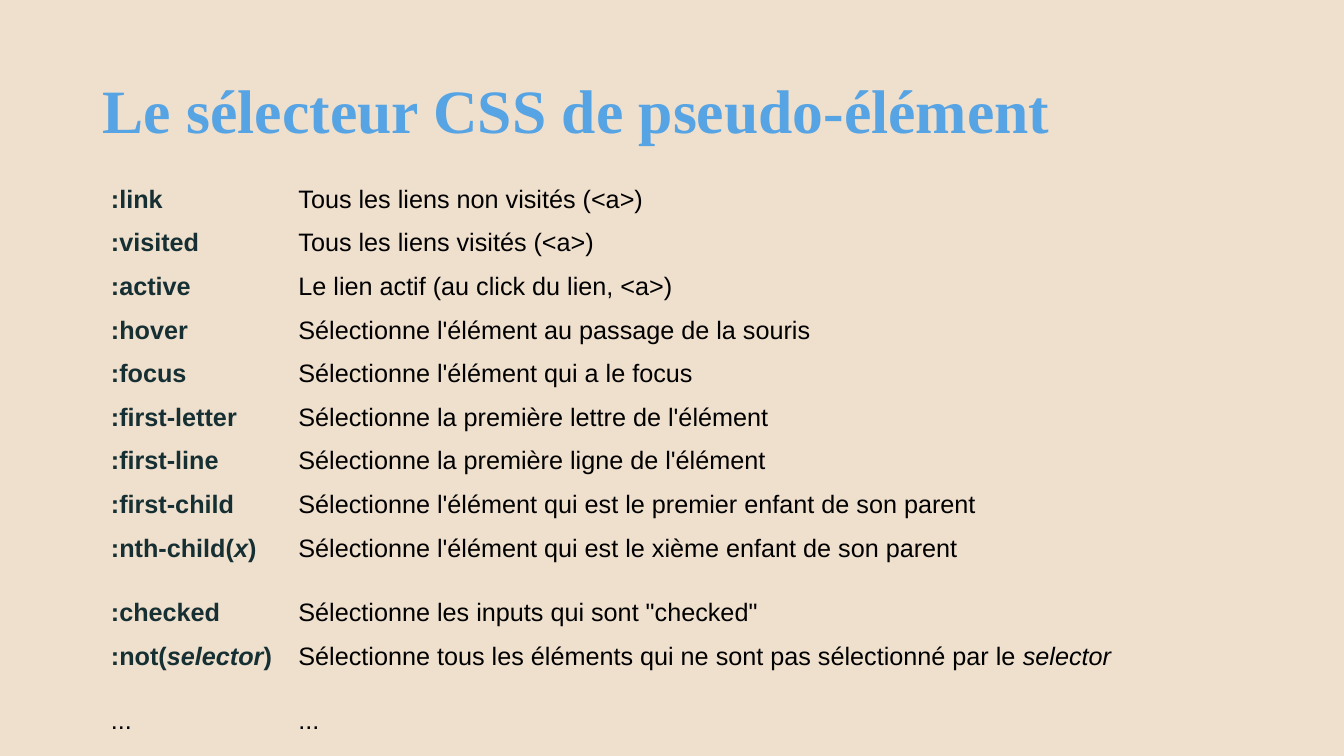
"""Build a slide listing CSS pseudo selectors in a plain two-column table."""
import pptx
import pptx.util
import pptx.dml.color
import pptx.enum.text

TITLE = "Le sélecteur CSS de pseudo-élément"
SELECTORS = [
    (":link", "Tous les liens non visités (<a>)"),
    (":visited", "Tous les liens visités (<a>)"),
    (":active", "Le lien actif (au click du lien, <a>)"),
    (":hover", "Sélectionne l'élément au passage de la souris"),
    (":focus", "Sélectionne l'élément qui a le focus"),
    (":first-letter", "Sélectionne la première lettre de l'élément"),
    (":first-line", "Sélectionne la première ligne de l'élément"),
    (":first-child", "Sélectionne l'élément qui est le premier enfant de son parent"),
    (":nth-child(*x*)", "Sélectionne l'élément qui est le xième enfant de son parent"),
    (":checked", "Sélectionne les inputs qui sont \"checked\""),
    (":not(*selector*)",
     "Sélectionne tous les éléments qui ne sont pas sélectionné par le *selector*"),
    ("...", "..."),
]
TALL_ROWS = (8, 10)
ROW, TALL_ROW = 0.4, 0.64
COLUMNS = (1.86, 8.66)
LEFT, TOP = 1, 1.78
MARGIN = 0.1
THEME = {
    "background": "EFDFCD", "title": "56A4E4", "selector": "162F33", "text": "000000",
    "title_font": "Times New Roman", "body_font": "Arial",
    "title_size": 44, "body_size": 18,
    "plain_table": "{2D5ABB26-0587-4C30-8999-92F81FD0307C}",
}
inch = pptx.util.Inches


def style(r, font, size, color, bold, italic=False):
    r.font.name, r.font.size = THEME[font], pptx.util.Pt(THEME[size])
    r.font.bold, r.font.italic = bold, italic
    r.font.color.rgb = pptx.dml.color.RGBColor.from_string(THEME[color])


def add_title(s):
    sp = s.shapes.title
    sp.left, sp.top, sp.width, sp.height = map(inch, (0.92, 0.4, 11.5, 1.45))
    tf = sp.text_frame
    tf.text = TITLE
    tf.vertical_anchor = pptx.enum.text.MSO_ANCHOR.MIDDLE
    p = tf.paragraphs[0]
    p.alignment = pptx.enum.text.PP_ALIGN.LEFT
    p.line_spacing = 0.9
    style(p.runs[0], "title_font", "title_size", "title", True)


def fill_cell(cell, text, is_selector):
    cell.fill.background()
    cell.margin_left = cell.margin_right = inch(MARGIN)
    cell.margin_top = cell.margin_bottom = inch(MARGIN)
    p = cell.text_frame.paragraphs[0]
    p.line_spacing = 0.83
    for i, part in enumerate(text.split("*")):
        if part:
            r = p.add_run()
            r.text = part
            style(r, "body_font", "body_size", "selector" if is_selector else "text",
                  is_selector, i % 2 == 1)


def add_selectors(s):
    heights = [TALL_ROW if i in TALL_ROWS else ROW for i in range(len(SELECTORS))]
    frame = s.shapes.add_table(len(SELECTORS), len(COLUMNS), inch(LEFT), inch(TOP),
                               inch(sum(COLUMNS)), inch(sum(heights)))
    table = frame.table
    table.first_row = table.horz_banding = False
    table._tbl.tblPr[0].text = THEME["plain_table"]
    for column, width in zip(table.columns, COLUMNS):
        column.width = inch(width)
    for i, (row, height) in enumerate(zip(table.rows, heights)):
        row.height = inch(height)
        for j, text in enumerate(SELECTORS[i]):
            fill_cell(table.cell(i, j), text, j == 0 and text.startswith(":"))


def main():
    prs = pptx.Presentation()
    prs.slide_width, prs.slide_height = inch(13.33), inch(7.5)
    s = prs.slides.add_slide(prs.slide_layouts[5])
    s.background.fill.solid()
    s.background.fill.fore_color.rgb = pptx.dml.color.RGBColor.from_string(THEME["background"])
    add_title(s)
    add_selectors(s)
    prs.save("out.pptx")


if __name__ == "__main__":
    main()
